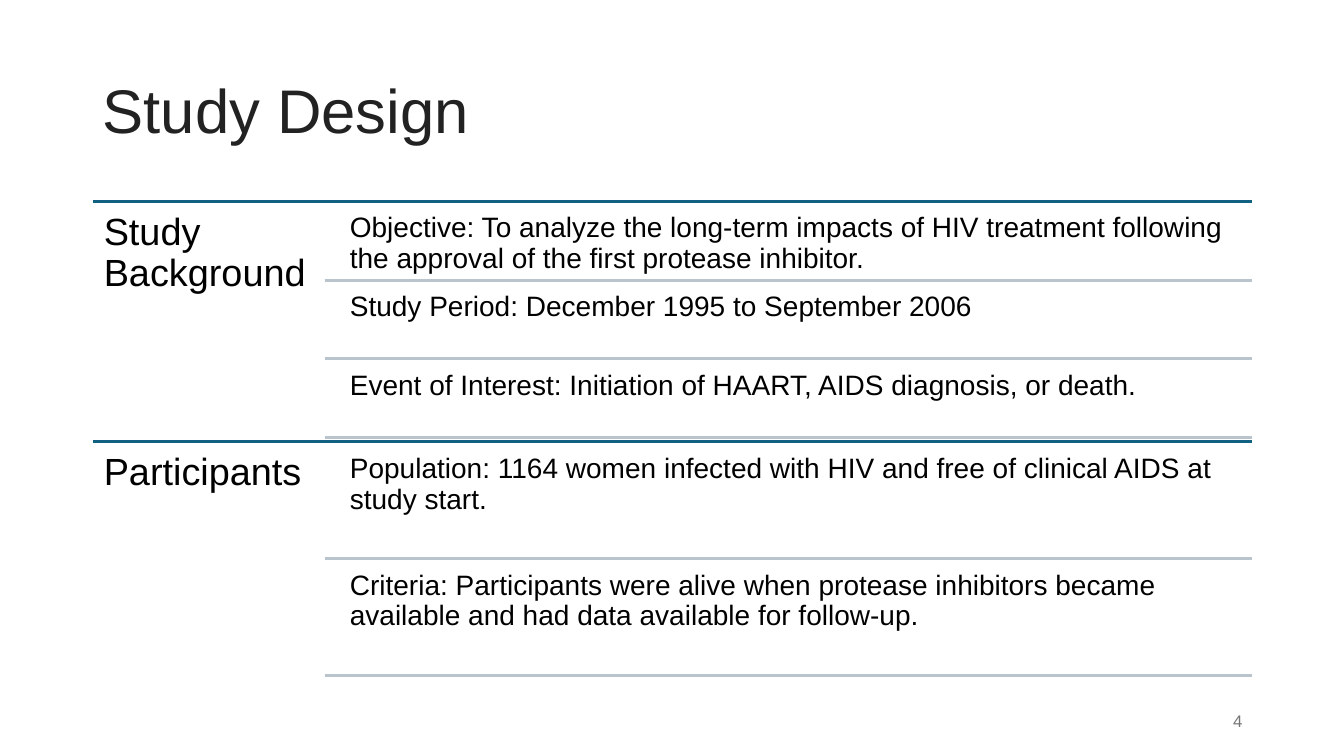
from lxml.etree import SubElement
from pptx import Presentation
from pptx.dml.color import RGBColor
from pptx.enum.shapes import MSO_CONNECTOR
from pptx.enum.text import MSO_ANCHOR, PP_ALIGN
from pptx.oxml.ns import qn
from pptx.util import Inches, Pt

TITLE_GREY = RGBColor(0x22, 0x22, 0x22)
BLACK = RGBColor(0, 0, 0)
BLUE = RGBColor(0x12, 0x60, 0x82)
PALE = RGBColor(0xBA, 0xC4, 0xCC)
NUMBER_GREY = RGBColor(0x75, 0x75, 0x75)

LEFT, RIGHT = 0.92, 12.42
HEADING_WIDTH = 2.3
ITEM_LEFT = 3.39
SECTION_TOP, SECTION_HEIGHT = 2, 2.38

# heading, gap above each item, item height, items
SECTIONS = [
    ("Study Background", 0.04, 0.74, [
        "Objective: To analyze the long-term impacts of HIV treatment "
        "following the approval of the first protease inhibitor.",
        "Study Period: December 1995 to September 2006",
        "Event of Interest: Initiation of HAART, AIDS diagnosis, or death.",
    ]),
    ("Participants", 0.05, 1.11, [
        "Population: 1164 women infected with HIV and free of clinical AIDS "
        "at study start.",
        "Criteria: Participants were alive when protease inhibitors became "
        "available and had data available for follow-up.",
    ]),
]


class Slide:
    """The current page and the style of its elements."""
    font_name = "Arial"
    line_width = Pt(2)

    def __init__(self, deck):
        self.page = deck.slides.add_slide(deck.slide_layouts[6])

    def text(self, words, left, top, width, height, size, color,
             inset=(0.1, 0.05), anchor=MSO_ANCHOR.TOP,
             align=PP_ALIGN.LEFT, spacing=0.9):
        box = self.page.shapes.add_textbox(
            Inches(left), Inches(top), Inches(width), Inches(height))
        side, end = map(Inches, inset)
        frame_format = {
            "word_wrap": True, "vertical_anchor": anchor,
            "margin_left": side, "margin_right": side,
            "margin_top": end, "margin_bottom": end,
        }
        for name, value in frame_format.items():
            setattr(box.text_frame, name, value)
        para = box.text_frame.paragraphs[0]
        para.alignment = align
        para.line_spacing = spacing
        span = para.add_run()
        span.text = words
        for name, value in {"name": self.font_name, "size": Pt(size)}.items():
            setattr(span.font, name, value)
        span.font.color.rgb = color

    def rule(self, left, top, color):
        line = self.page.shapes.add_connector(
            MSO_CONNECTOR.STRAIGHT, Inches(left), Inches(top),
            Inches(RIGHT), Inches(top))
        line.line.color.rgb = color
        line.line.width = self.line_width
        SubElement(line._element.spPr, qn("a:effectLst"))

    def section(self, top, heading, gap, height, items):
        self.rule(LEFT, top, BLUE)
        self.text(heading, LEFT, top, HEADING_WIDTH, SECTION_HEIGHT,
                  27, BLACK, inset=(0.11, 0.11))
        for index, item in enumerate(items):
            item_top = top + gap + index * (height + gap)
            self.text(item, ITEM_LEFT, item_top, RIGHT - ITEM_LEFT, height,
                      20, BLACK, inset=(0.08, 0.08))
            self.rule(LEFT + HEADING_WIDTH, item_top + height, PALE)


def main():
    deck = Presentation()
    deck.slide_width, deck.slide_height = Inches(13.33), Inches(7.5)
    slide = Slide(deck)

    # Title
    slide.text("Study Design", LEFT, 0.4, RIGHT - LEFT, 1.45, 44, TITLE_GREY,
               anchor=MSO_ANCHOR.MIDDLE)

    # Sections with ruled items
    for index, section in enumerate(SECTIONS):
        slide.section(SECTION_TOP + index * SECTION_HEIGHT, *section)

    # Page number
    slide.text("4", 9.42, 6.95, 3, 0.4, 12, NUMBER_GREY, spacing=1.0,
               anchor=MSO_ANCHOR.MIDDLE, align=PP_ALIGN.RIGHT)

    deck.save("out.pptx")


if __name__ == "__main__":
    main()
